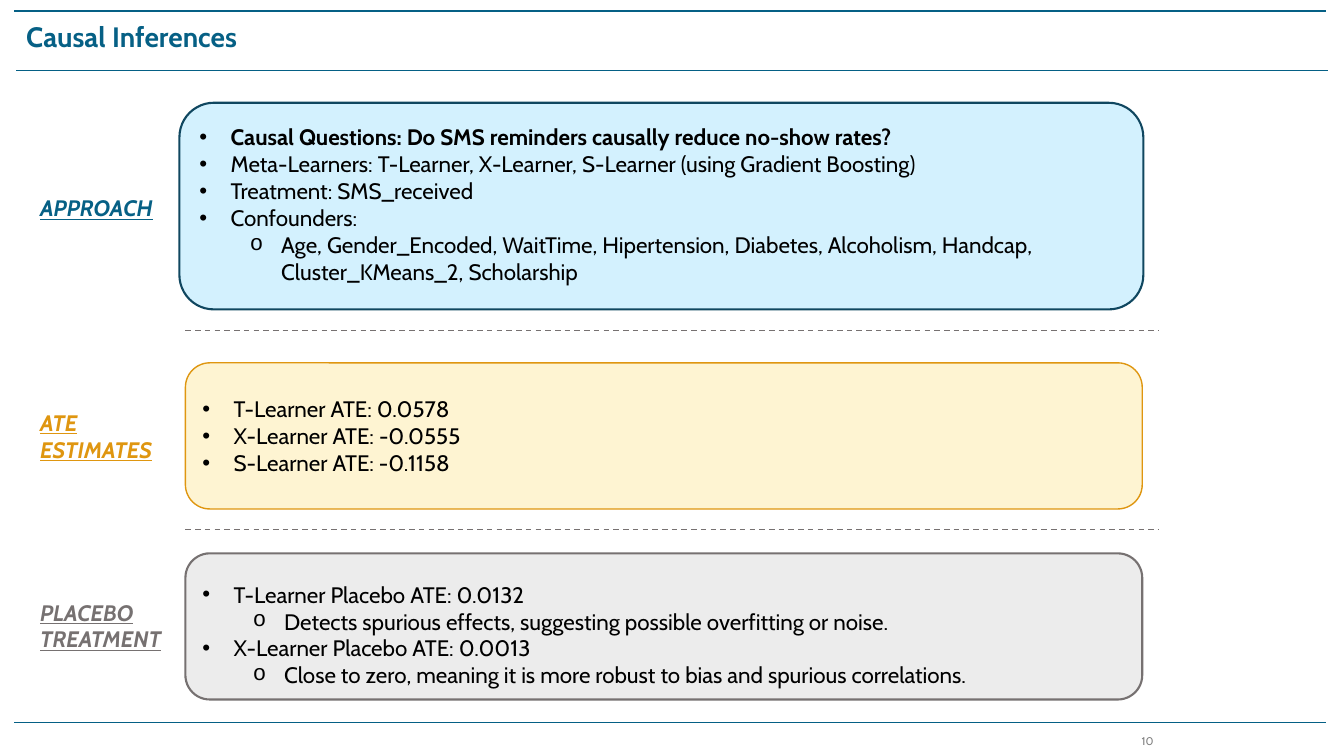
from dataclasses import dataclass
from lxml import etree
from pptx import Presentation
from pptx import util as u
from pptx.dml.color import RGBColor
from pptx.enum import dml, shapes, text
from pptx.oxml.ns import qn


@dataclass(frozen=True)
class Theme:
    font: str = "Cabin"
    title_size: int = 20
    body_size: int = 16
    number_size: int = 8
    ink: str = "000000"
    title: str = "066085"
    rule: str = "056085"
    number: str = "808080"
    gray: str = "767171"
    gray_fill: str = "ECECEC"
    blue_edge: str = "104760"
    blue_fill: str = "D3F1FE"
    gold: str = "DF9610"
    gold_fill: str = "FEF4D2"


theme = Theme()
prs = Presentation()
prs.slide_width, prs.slide_height = u.Inches(13.33), u.Inches(7.5)
slide = prs.slides.add_slide(prs.slide_layouts[5])
col, row = prs.slide_width / 100, prs.slide_height / 100


def place(x, y, w, h):
    return int(x * col), int(y * row), int(w * col), int(h * row)


def write(tf, words, size=theme.body_size, color=theme.ink, bold=False, italic=False,
          underline=False, align=text.PP_ALIGN.LEFT, level=None):
    p = tf.paragraphs[0] if not tf.text else tf.add_paragraph()
    p.alignment = align
    if level is not None:
        p.level = level
        pPr = p._p.get_or_add_pPr()
        pPr.set("marL", str(u.Inches(0.31 + 0.5 * level)))
        pPr.set("indent", str(u.Inches(-0.31)))
        bullet_font, mark = (("Arial", "•"), ("Courier New", "o"))[level]
        etree.SubElement(pPr, qn("a:buFont")).set("typeface", bullet_font)
        etree.SubElement(pPr, qn("a:buChar")).set("char", mark)
    r = p.add_run()
    r.text = words
    r.font.name, r.font.size = theme.font, u.Pt(size)
    r.font.color.rgb = RGBColor.from_string(color)
    r.font.bold, r.font.italic, r.font.underline = bold, italic, underline


rules = [
    (1.05, 98.65, 1.47, theme.rule, False),
    (1.2, 98.8, 9.33, theme.rule, False),
    (1.05, 98.65, 95.6, theme.rule, False),
    (13.8, 86.2, 43.73, theme.gray, True),
    (13.8, 86.2, 70, theme.gray, True),
]
for left, right, y, color, dashed in rules:
    line = slide.shapes.add_connector(
        shapes.MSO_CONNECTOR.STRAIGHT,
        int(left * col), int(y * row), int(right * col), int(y * row))
    line.line.color.rgb = RGBColor.from_string(color)
    line.line.width = u.Pt(1)
    if dashed:
        line.line.dash_style = dml.MSO_LINE.DASH
    etree.SubElement(line._element.spPr, qn("a:effectLst"))

title = slide.shapes.title
title.left, title.top, title.width, title.height = place(1.2, 1.87, 97.45, 6.93)
tf = title.text_frame
tf.auto_size = text.MSO_AUTO_SIZE.NONE
tf.vertical_anchor = text.MSO_ANCHOR.TOP
write(tf, "Causal Inferences", size=theme.title_size, color=theme.title, bold=True)

sections = [
    ("APPROACH", 25.07, theme.title, (13.35, 13.6, 71.72, 27.33),
     theme.blue_fill, theme.blue_edge, 1.5, (0.28, 0.32), [
         (0, "Causal Questions: Do SMS reminders causally reduce no-show rates?"),
         (0, "Meta-Learners: T-Learner, X-Learner, S-Learner (using Gradient Boosting)"),
         (0, "Treatment: SMS_received"),
         (0, "Confounders:"),
         (1, "Age, Gender_Encoded, WaitTime, Hipertension, Diabetes, Alcoholism, "
             "Handcap, Cluster_KMeans_2, Scholarship"),
     ]),
    ("ATE ESTIMATES", 53.47, theme.gold, (13.8, 48, 71.19, 19.33),
     theme.gold_fill, theme.gold, 1, (0.05, 0.05), [
         (0, "T-Learner ATE: 0.0578"),
         (0, "X-Learner ATE: -0.0555"),
         (0, "S-Learner ATE: -0.1158"),
     ]),
    ("PLACEBO TREATMENT", 78.53, theme.gray, (13.8, 73.2, 71.19, 19.33),
     theme.gray_fill, theme.gray, 1.5, (0.28, 0.12), [
         (0, "T-Learner Placebo ATE: 0.0132"),
         (1, "Detects spurious effects, suggesting possible overfitting or noise."),
         (0, "X-Learner Placebo ATE: 0.0013"),
         (1, "Close to zero, meaning it is more robust to bias and spurious correlations."),
     ]),
]
for label, label_y, accent, area, fill, edge, weight, insets, points in sections:
    label_height = 8.53 if " " in label else 4.93
    tf = slide.shapes.add_textbox(*place(2.25, label_y, 11.4, label_height)).text_frame
    tf.word_wrap = True
    write(tf, label, color=accent, bold=True, italic=True, underline=True)

    sp = slide.shapes.add_shape(shapes.MSO_SHAPE.ROUNDED_RECTANGLE, *place(*area))
    sp.shadow.inherit = False
    sp.fill.solid()
    sp.fill.fore_color.rgb = RGBColor.from_string(fill)
    sp.line.color.rgb = RGBColor.from_string(edge)
    sp.line.width = u.Pt(weight)
    tf = sp.text_frame
    tf.word_wrap = True
    tf.vertical_anchor = text.MSO_ANCHOR.MIDDLE
    tf.margin_top, tf.margin_bottom = map(u.Inches, insets)
    for level, words in points:
        write(tf, words, level=level, bold=words.startswith("Causal Questions"))

tf = slide.shapes.add_textbox(*place(83.8, 97.07, 2.78, 1.87)).text_frame
tf.word_wrap = True
tf.vertical_anchor = text.MSO_ANCHOR.MIDDLE
write(tf, "10", size=theme.number_size, color=theme.number, align=text.PP_ALIGN.RIGHT)

prs.save("out.pptx")
